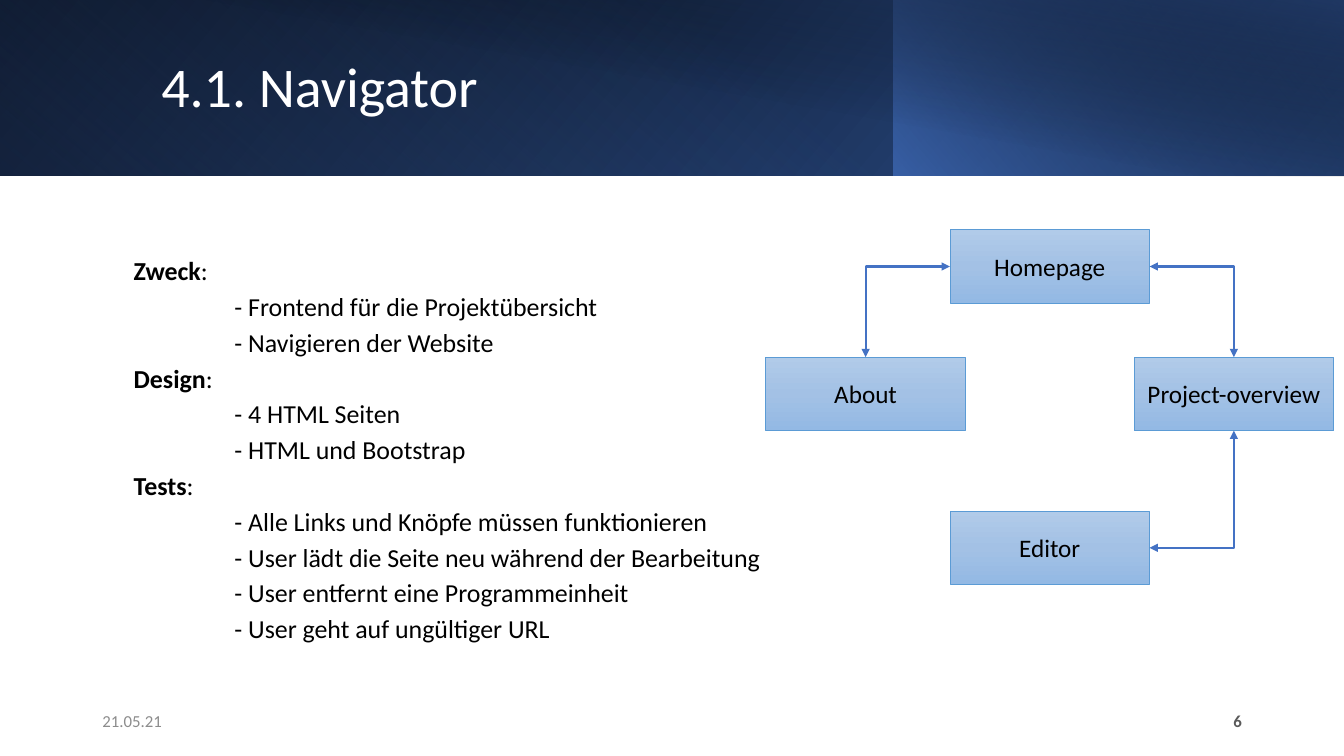
from dataclasses import dataclass

from lxml import etree
from pptx import Presentation
from pptx import util as u
from pptx.dml.color import RGBColor
from pptx.enum import shapes, text
from pptx.oxml import parse_xml
from pptx.oxml.ns import nsdecls, qn

TOP, LEFT, BOTTOM, RIGHT = range(4)  # connection sites of a rectangle


@dataclass(frozen=True)
class Theme:
    font: str = "Calibri"
    ink: str = "000000"
    white: str = "FFFFFF"
    muted: str = "8C8C8C"
    page_number: str = "595959"
    accent: str = "4472C4"
    deep: str = "203864"
    mid: str = "2F5597"
    box_line: str = "5B9BD5"
    box_stops: tuple = ((0, "B1CBE9", 100), (50, "A3C1E5", 100), (100, "93B9E4", 100))
    title_size: float = 40
    body_size: float = 18.5
    box_size: float = 18
    footer_size: float = 12


class SlideBuilder:
    def __init__(self, deck, theme):
        self.theme = theme
        self.page = deck.slides.add_slide(deck.slide_layouts[5])

    def style(self, paragraph, size, color, align=text.PP_ALIGN.LEFT, bold=False):
        paragraph.alignment = align
        font = paragraph.font
        font.name, font.size, font.bold = self.theme.font, u.Pt(size), bold
        font.color.rgb = RGBColor.from_string(color)

    def gradient(self, shape, stops, angle):
        """Fill with (position, colour, opacity) stops; the angle runs clockwise."""
        marks = "".join(
            f'<a:gs pos="{pos * 1000}"><a:srgbClr val="{color}">'
            f'<a:alpha val="{opacity * 1000}"/></a:srgbClr></a:gs>'
            for pos, color, opacity in stops)
        shape.fill.background()
        properties = shape.element.spPr
        properties.replace(properties.find(qn("a:noFill")), parse_xml(
            f'<a:gradFill {nsdecls("a")} rotWithShape="1"><a:gsLst>{marks}</a:gsLst>'
            f'<a:lin ang="{angle * 60000}" scaled="0"/></a:gradFill>'))

    def rectangle(self, left, top, width, height, stops, angle):
        shape = self.page.shapes.add_shape(
            shapes.MSO_SHAPE.RECTANGLE, *map(u.Cm, (left, top, width, height)))
        shape.shadow.inherit = False
        self.gradient(shape, stops, angle)
        return shape

    def banner(self, left, width, height, stops, angle, flip=True, rotation=0):
        """Add a band that lies behind the title."""
        band = self.rectangle(left, 0, width, height, stops, angle)
        band.line.fill.background()
        band.rotation = rotation
        if flip:
            band.element.spPr.find(qn("a:xfrm")).set("flipH", "1")
        self.page.shapes.title.element.addprevious(band.element)

    def title(self, words, left, top, width, height):
        box = self.page.shapes.title
        box.left, box.top, box.width, box.height = map(u.Cm, (left, top, width, height))
        frame = box.text_frame
        frame.text = words
        frame.auto_size = text.MSO_AUTO_SIZE.NONE
        frame.vertical_anchor = text.MSO_ANCHOR.MIDDLE
        paragraph = frame.paragraphs[0]
        paragraph.line_spacing = 0.9
        self.style(paragraph, self.theme.title_size, self.theme.white)

    def text_box(self, left, top, width, height):
        box = self.page.shapes.add_textbox(*map(u.Cm, (left, top, width, height)))
        frame = box.text_frame
        frame.word_wrap = True
        frame.vertical_anchor = text.MSO_ANCHOR.MIDDLE
        return frame

    def outline(self, sections, left, top, width, height):
        """Write bold headings, each followed by its indented points."""
        frame = self.text_box(left, top, width, height)
        lines = [line for heading, points in sections.items()
                 for line in [(heading, True)] + [(point, False) for point in points]]
        for index, (words, is_heading) in enumerate(lines):
            paragraph = frame.add_paragraph() if index else frame.paragraphs[0]
            paragraph.line_spacing, paragraph.space_before = 0.7, u.Pt(10)
            self.style(paragraph, self.theme.body_size, self.theme.ink)
            if is_heading:
                span = paragraph.add_run()
                span.text, span.font.bold = words, True
                paragraph.add_run().text = ":"
            else:
                paragraph.add_run().text = f"- {words}"
                paragraph._p.get_or_add_pPr().set("marL", str(u.Cm(2.54)))

    def footer(self, words, left, color, align, bold=False):
        frame = self.text_box(left, 17.65, 7.62, 1.02)
        frame.text = words
        self.style(frame.paragraphs[0], self.theme.footer_size, color, align, bold)

    def node(self, words, left, top):
        box = self.rectangle(left, top, 5.03, 1.85, self.theme.box_stops, 90)
        box.line.color.rgb = RGBColor.from_string(self.theme.box_line)
        box.line.width = u.Pt(0.5)
        frame = box.text_frame
        frame.text = words
        frame.word_wrap = True
        frame.vertical_anchor = text.MSO_ANCHOR.MIDDLE
        self.style(frame.paragraphs[0], self.theme.box_size, self.theme.ink,
                   text.PP_ALIGN.CENTER)
        return box

    def elbow(self, start, start_site, end, end_site):
        """Join two nodes by a one-bend line with an arrowhead at both ends."""
        link = self.page.shapes.add_connector(
            shapes.MSO_CONNECTOR.ELBOW, 0, 0, 0, 0)
        link.begin_connect(start, start_site)
        link.end_connect(end, end_site)
        link.line.color.rgb = RGBColor.from_string(self.theme.accent)
        link.line.width = u.Pt(1.5)
        properties = link.element.spPr
        properties.find(qn("a:prstGeom")).set("prst", "bentConnector2")
        for tip in ("a:headEnd", "a:tailEnd"):
            etree.SubElement(properties.find(qn("a:ln")), qn(tip), type="triangle")
        etree.SubElement(properties, qn("a:effectLst"))


def main():
    theme = Theme()
    deck = Presentation()
    deck.slide_width, deck.slide_height = u.Cm(33.87), u.Cm(19.05)
    slide = SlideBuilder(deck, theme)

    slide.banner(0, 33.87, 4.42, [(0, theme.ink, 100), (100, theme.mid, 100)], 140)
    slide.banner(0, 22.55, 4.42, [(20, theme.accent, 0), (100, theme.deep, 55)], 230,
                 rotation=180)
    slide.banner(22.53, 11.34, 4.42, [(0, theme.accent, 66), (100, theme.ink, 30)], 220)
    slide.banner(1.27, 32.6, 4.45, [(50, theme.ink, 0), (99, theme.deep, 52)], 280,
                 flip=False)
    slide.title("4.1. Navigator", 3.81, 0.81, 27.48, 2.87)

    slide.outline({
        "Zweck": ["Frontend für die Projektübersicht", "Navigieren der Website"],
        "Design": ["4 HTML Seiten", "HTML und Bootstrap"],
        "Tests": ["Alle Links und Knöpfe müssen funktionieren",
                  "User lädt die Seite neu während der Bearbeitung",
                  "User entfernt eine Programmeinheit",
                  "User geht auf ungültiger URL"],
    }, 3.12, 6.3, 27, 10.24)

    columns = [19.3 + 4.64 * step for step in range(3)]
    homepage = slide.node("Homepage", columns[1], 5.79)
    overview = slide.node("Project-overview", columns[2], 9)
    about = slide.node("About", columns[0], 9)
    editor = slide.node("Editor", columns[1], 12.88)
    slide.elbow(homepage, RIGHT, overview, TOP)
    slide.elbow(homepage, LEFT, about, TOP)
    slide.elbow(editor, RIGHT, overview, BOTTOM)

    slide.footer("21.05.21", 2.33, theme.muted, text.PP_ALIGN.LEFT)
    slide.footer("6", 23.93, theme.page_number, text.PP_ALIGN.RIGHT, bold=True)
    deck.save("out.pptx")


if __name__ == "__main__":
    main()
